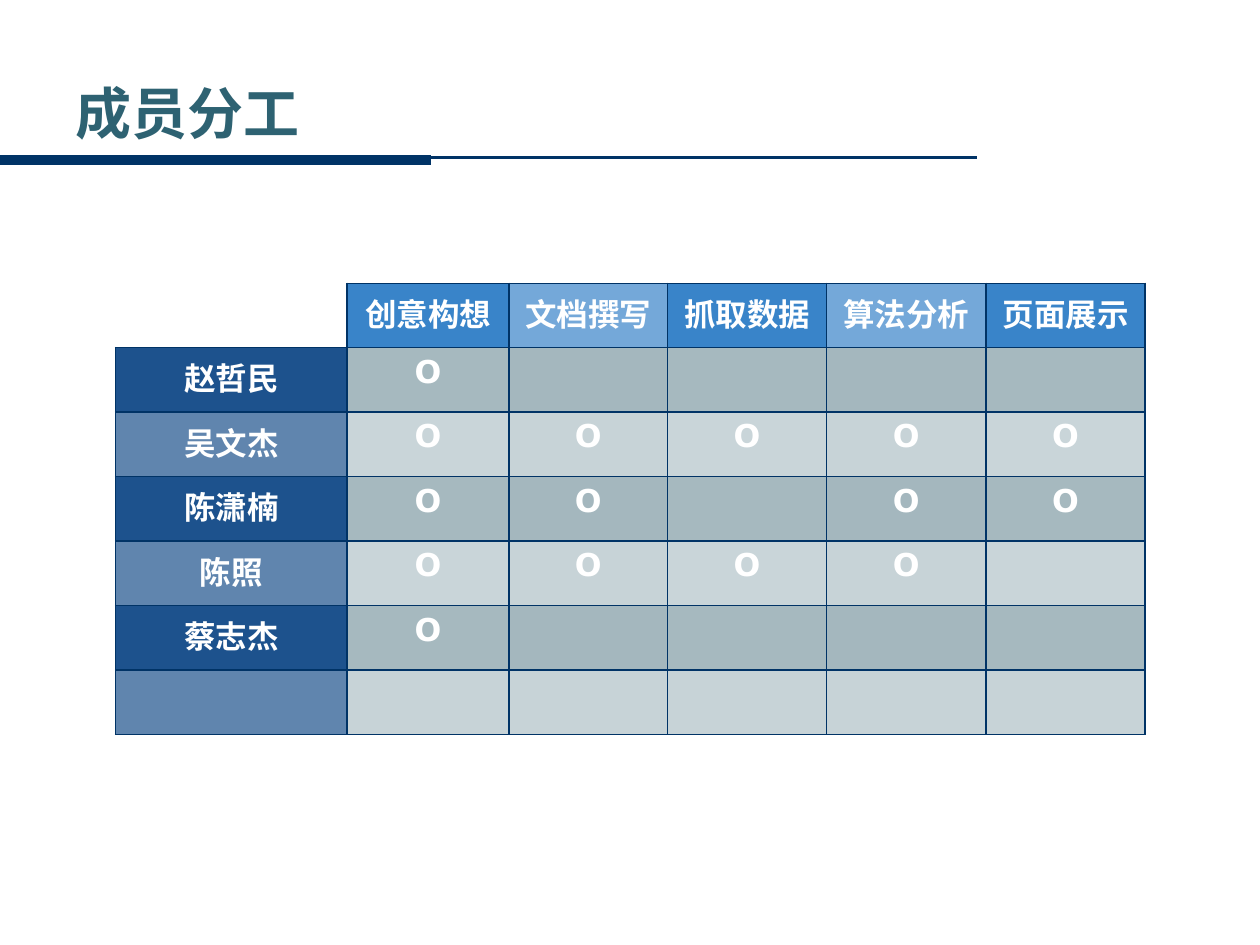
import pptx
import pptx.dml.color
import pptx.enum.shapes
import pptx.enum.text
import pptx.oxml.ns
import pptx.oxml.xmlchemy
import pptx.util
from lxml import etree
from pptx.util import Cm, Pt

NAVY = pptx.dml.color.RGBColor(0x00, 0x33, 0x66)
TEAL = pptx.dml.color.RGBColor(0x2E, 0x62, 0x72)
WHITE = pptx.dml.color.RGBColor(0xFF, 0xFF, 0xFF)
TASK_BLUE = pptx.dml.color.RGBColor(0x39, 0x84, 0xC9)
MEMBER_BLUE = pptx.dml.color.RGBColor(0x1D, 0x52, 0x8D)
MARK_GREY = pptx.dml.color.RGBColor(0x90, 0xA8, 0xB0)

CJK_FONT = "Noto Sans CJK SC"
TABLE_FONT = "DejaVu Sans"
TASKS = ["创意构想", "文档撰写", "抓取数据", "算法分析", "页面展示"]
MEMBERS = [
    ("赵哲民", {0}, (80, 82)),
    ("吴文杰", {0, 1, 2, 3, 4}, (48, 50)),
    ("陈潇楠", {0, 1, 3, 4}, (80, 82)),
    ("陈照", {0, 1, 2, 3}, (48, 50)),
    ("蔡志杰", {0}, (80, 82)),
    ("", set(), (50, 50)),
]
COLUMN_WIDTHS = [4.67, 3.26, 3.2, 3.2, 3.22, 3.2]
ROW_HEIGHT = 1.3


def add_child(parent, tag, **attributes):
    """Append a DrawingML element to parent and return it."""
    return etree.SubElement(parent, pptx.oxml.ns.qn(tag), attributes)


def write_text(frame, text, *, size, font, color, align=None, space_before=0):
    """Write bold, vertically centred text into a text frame."""
    frame.vertical_anchor = pptx.enum.text.MSO_ANCHOR.MIDDLE
    paragraph = frame.paragraphs[0]
    paragraph.alignment = align
    paragraph.space_before = Pt(space_before)
    run = paragraph.add_run()
    run.text = text
    run.font.size = Pt(size)
    run.font.bold = True
    run.font.name = font
    run.font.color.rgb = color
    add_child(run.font._element, "a:ea", typeface=CJK_FONT)


def add_rule(slide, start, end, y, weight):
    """Draw a horizontal navy rule without a shadow."""
    rule = slide.shapes.add_connector(
        pptx.enum.shapes.MSO_CONNECTOR.STRAIGHT, Cm(start), Cm(y), Cm(end), Cm(y)
    )
    rule.line.color.rgb = NAVY
    rule.line.width = Pt(weight)
    add_child(rule._element.spPr, "a:effectLst")


def add_title(slide, text):
    """Add the slide heading."""
    heading = slide.shapes.add_textbox(Cm(1.27), Cm(1.47), Cm(21.39), Cm(1.57))
    heading.text_frame.word_wrap = True
    write_text(heading.text_frame, text, size=32, font=CJK_FONT, color=TEAL)


def set_borders(cell, sides):
    """Give the named sides of a cell a navy border and clear the others."""
    properties = cell._tc.get_or_add_tcPr()
    for side in "LRTB":
        border = add_child(properties, f"a:ln{side}", w=str(Pt(1)))
        if side in sides:
            fill = add_child(border, "a:solidFill")
            add_child(fill, "a:srgbClr", val=str(NAVY))
        else:
            add_child(border, "a:noFill")


def fill_cell(cell, text, color, opacity):
    """Set the borders, the fill with its opacity in percent, and the text."""
    set_borders(cell, "LRTB")
    cell.fill.solid()
    cell.fill.fore_color.rgb = color
    if opacity < 100:
        shade = cell._tc.tcPr.find(pptx.oxml.ns.qn("a:solidFill"))[0]
        add_child(shade, "a:alpha", val=str(opacity * 1000))
    if text:
        write_text(cell.text_frame, text, size=18, font=TABLE_FONT, color=WHITE,
                   align=pptx.enum.text.PP_ALIGN.CENTER, space_before=3.6)


def add_duty_table(slide):
    """Add the table of members against tasks."""
    row_count = len(MEMBERS) + 1
    duties = slide.shapes.add_table(
        row_count, len(COLUMN_WIDTHS), Cm(2.33), Cm(5.71),
        Cm(sum(COLUMN_WIDTHS)), Cm(ROW_HEIGHT * row_count),
    ).table
    duties.first_row = False
    duties.horz_banding = False
    for column, width in zip(duties.columns, COLUMN_WIDTHS):
        column.width = Cm(width)
    for row in duties.rows:
        row.height = Cm(ROW_HEIGHT)

    corner = duties.cell(0, 0)
    set_borders(corner, "RB")
    corner.fill.background()
    for index, task in enumerate(TASKS):
        fill_cell(duties.cell(0, index + 1), task, TASK_BLUE, (100, 70)[index % 2])
    for number, (member, assigned, opacities) in enumerate(MEMBERS):
        fill_cell(duties.cell(number + 1, 0), member, MEMBER_BLUE, (100, 70)[number % 2])
        for index in range(len(TASKS)):
            mark = "O" if index in assigned else ""
            fill_cell(duties.cell(number + 1, index + 1), mark, MARK_GREY,
                      opacities[index % 2])


def main():
    """Build the slide and save it."""
    deck = pptx.Presentation()
    deck.slide_width, deck.slide_height = Cm(25.4), Cm(19.05)
    slide = deck.slides.add_slide(deck.slide_layouts[6])
    add_rule(slide, 19.69, 0, 3.17, 1.5)
    add_rule(slide, 0, 8.68, 3.23, 6)
    add_title(slide, "成员分工")
    add_duty_table(slide)
    deck.save("out.pptx")


if __name__ == "__main__":
    main()
